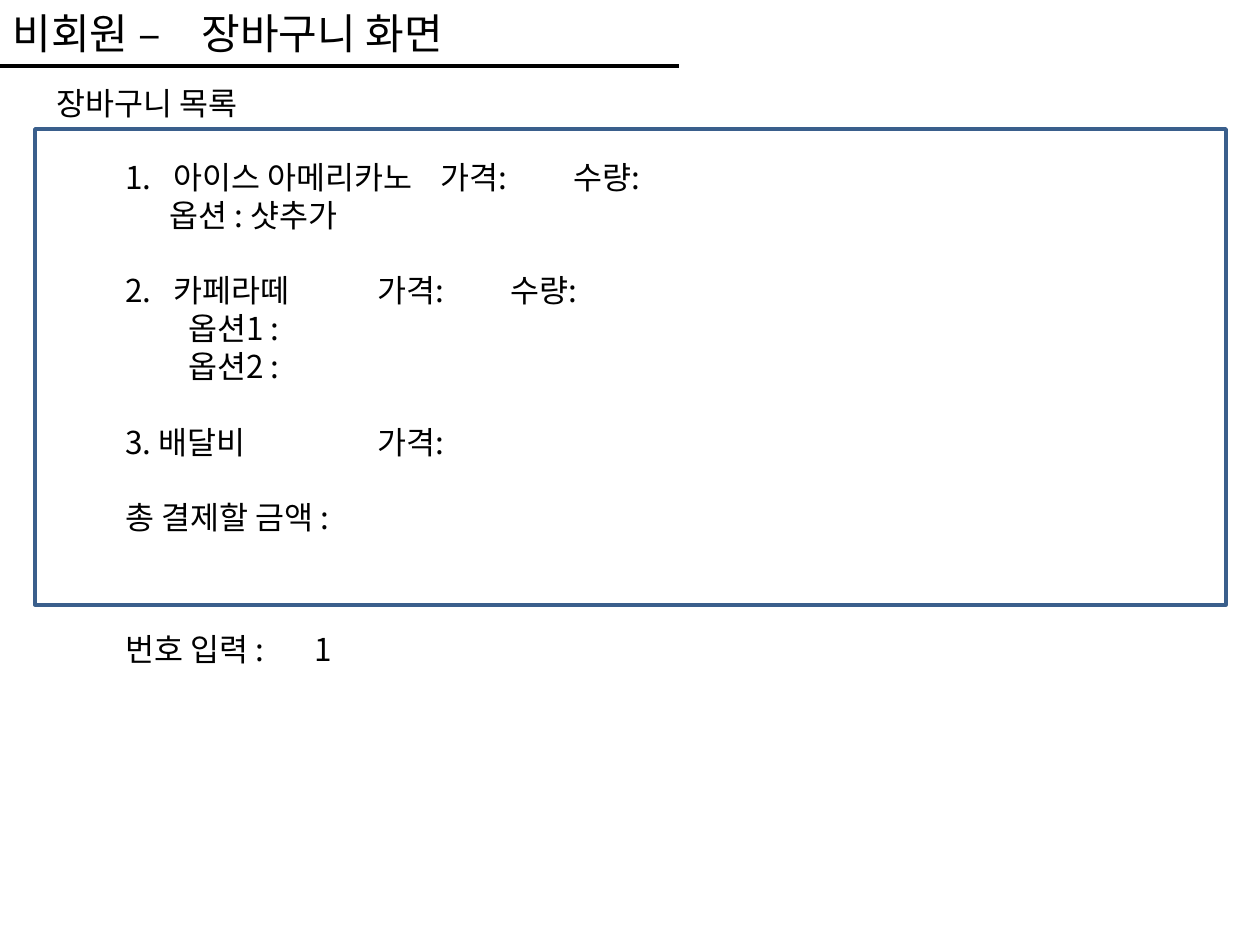
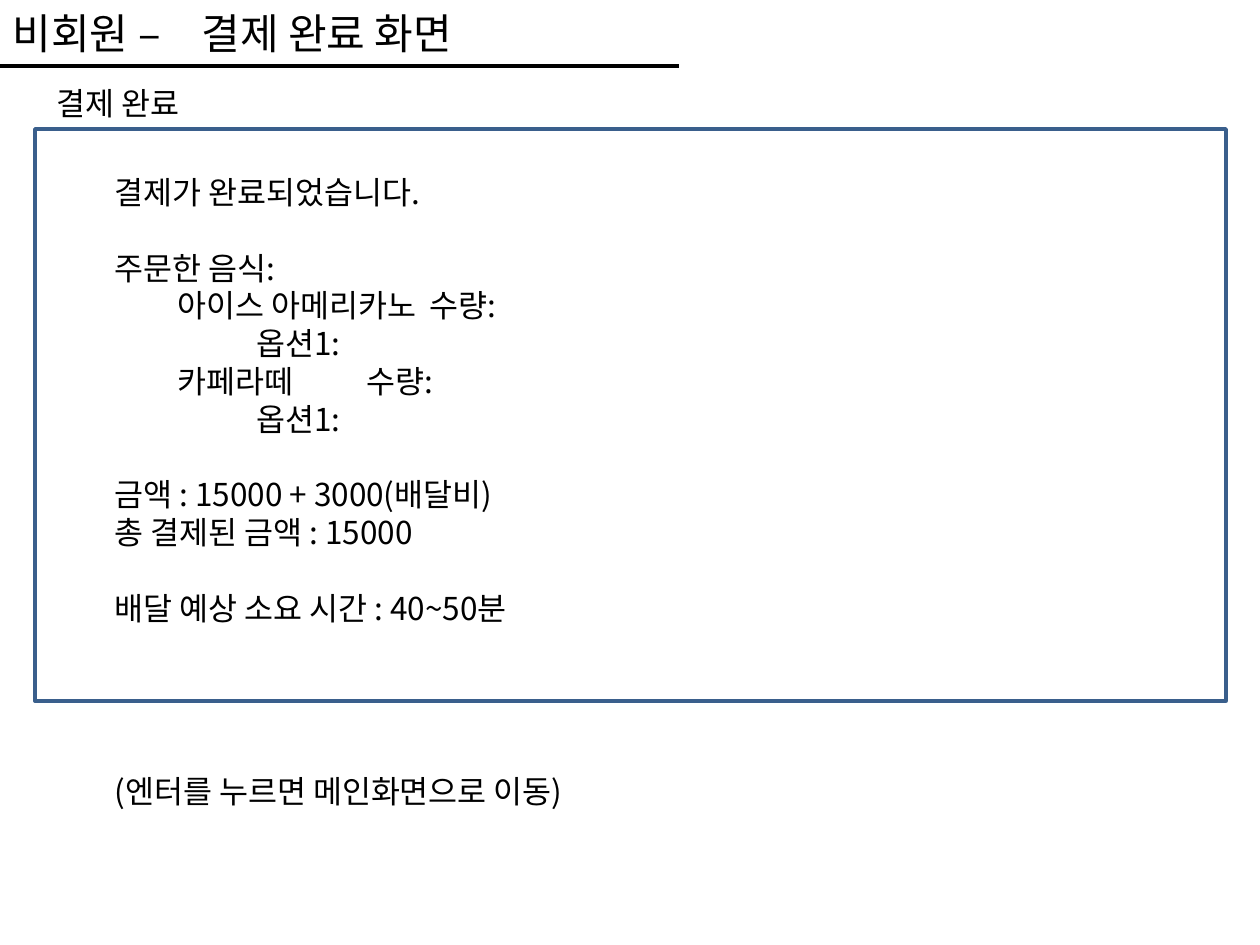
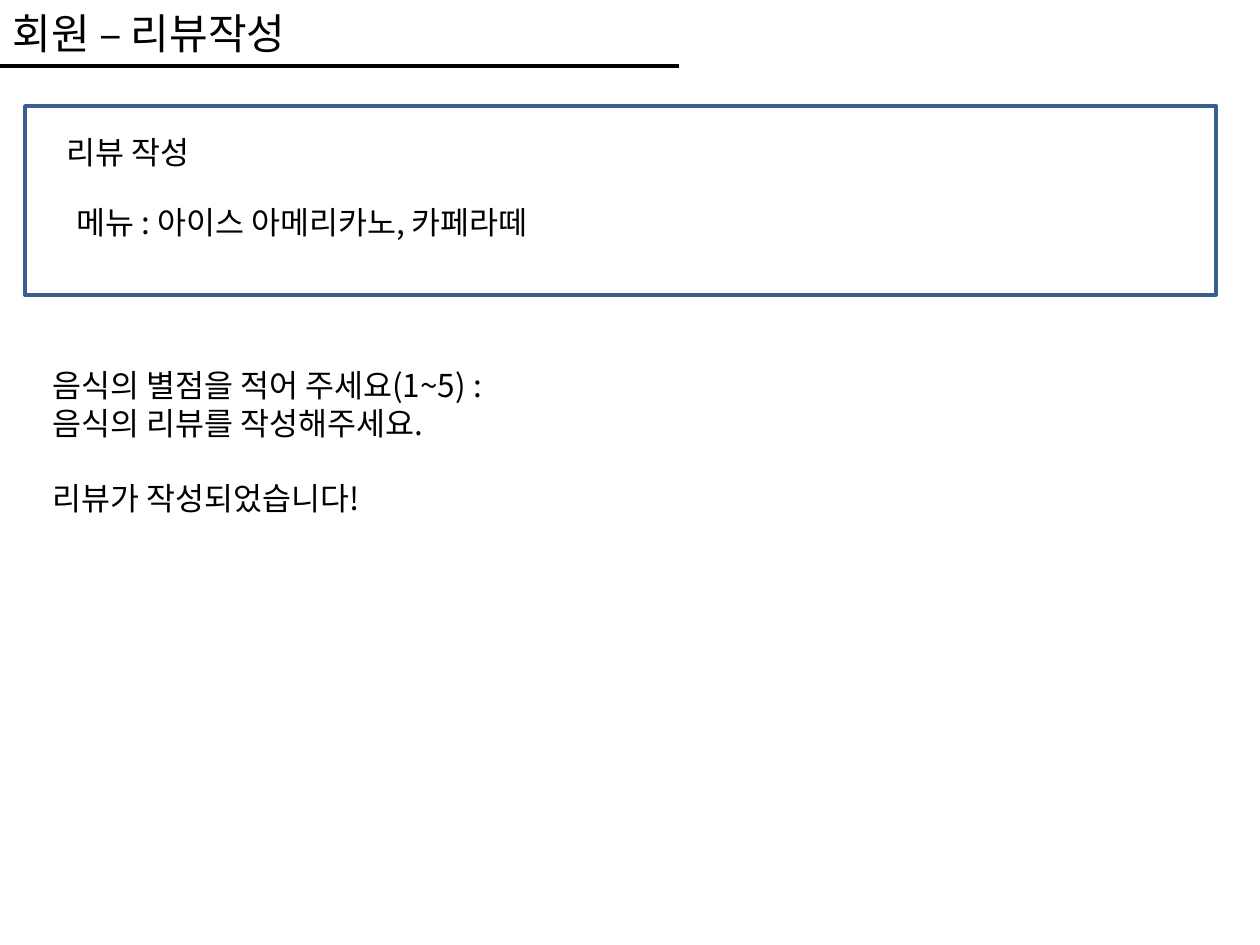
"""Build three wireframe slides of a cafe ordering program."""
import lxml.etree
import pptx
import pptx.dml.color
import pptx.enum.shapes
import pptx.oxml.ns
import pptx.util

SCALE = 914400 / 126
FONT = "Noto Sans CJK KR"
INK = "000000"
EDGE = "3A5F8C"
TITLE = 24
BODY = 18
LEAD = 1.2
GAP = {"space_before": pptx.util.Pt(BODY * LEAD)}
FRAME = {"word_wrap": True, "margin_top": round(8 * SCALE), "margin_bottom": 0}


def hue(code):
    return pptx.dml.color.RGBColor.from_string(code)


def write(slide, spot, size, rows):
    frame = slide.shapes.add_textbox(*[round(n * SCALE) for n in spot]).text_frame
    for key, value in FRAME.items():
        setattr(frame, key, value)
    for index, (text, look) in enumerate(rows):
        para = frame.add_paragraph() if index else frame.paragraphs[0]
        form = {"line_spacing": pptx.util.Pt(size * LEAD), **look}
        props = para._p.get_or_add_pPr()
        left = form.pop("left", 0)
        count = form.pop("count", 0)
        stops = form.pop("stops", ())
        for key, value in form.items():
            setattr(para, key, value)
        props.set("marL", str(round(left * SCALE)))
        props.set("indent", str(round(-left * SCALE) if count else 0))
        if count:
            mark = lxml.etree.SubElement(props, pptx.oxml.ns.qn("a:buAutoNum"))
            mark.set("type", "arabicPeriod")
            mark.set("startAt", str(count))
        if stops:
            tabs = lxml.etree.SubElement(props, pptx.oxml.ns.qn("a:tabLst"))
            for stop in stops:
                tab = lxml.etree.SubElement(tabs, pptx.oxml.ns.qn("a:tab"))
                tab.set("pos", str(round(stop * SCALE)))
                tab.set("algn", "l")
        run = para.add_run()
        run.text = text
        for key, value in {"name": FONT, "size": pptx.util.Pt(size)}.items():
            setattr(run.font, key, value)
        run.font.color.rgb = hue(INK)
        east = lxml.etree.SubElement(run._r.get_or_add_rPr(), pptx.oxml.ns.qn("a:ea"))
        east.set("typeface", FONT)


wide = {"stops": (137, 182)}
pages = [
    {
        "title": ("비회원\t–\t장바구니 화면", wide),
        "width": 927,
        "panel": (35, 129, 1191, 476),
        "texts": [
            ((44, 76, 357, 50), [("장바구니 목록", {})]),
            ((113, 622, 814, 50), [("번호 입력 :\t1", {"stops": (162,)})]),
            ((113, 150, 725, 394), [
                ("아이스 아메리카노 \t가격:\t 수량:", {"left": 48, "count": 1}),
                ("옵션 : 샷추가", {"left": 44}),
                ("카페라떼\t\t가격:\t 수량:", {"left": 48, "count": 2, **GAP}),
                ("옵션1 :", {"left": 63}),
                ("옵션2 :", {"left": 63}),
                ("3. 배달비 \t\t가격:", GAP),
                ("총 결제할 금액 :", GAP),
            ]),
        ],
    },
    {
        "title": ("비회원\t–\t결제 완료 화면", wide),
        "width": 927,
        "panel": (35, 129, 1191, 572),
        "texts": [
            ((44, 76, 357, 50), [("결제 완료", {})]),
            ((102, 764, 814, 50), [("(엔터를 누르면 메인화면으로 이동)", {})]),
            ((102, 165, 725, 471), [
                ("결제가 완료되었습니다.", {}),
                ("주문한 음식:", GAP),
                ("\t아이스 아메리카노 \t수량:", {}),
                ("옵션1:", {"left": 142}),
                ("\t카페라떼\t\t수량:", {}),
                ("옵션1:", {"left": 142}),
                ("금액 : 15000 + 3000(배달비)", GAP),
                ("총 결제된 금액 : 15000", {}),
                ("배달 예상 소요 시간 : 40~50분", GAP),
            ]),
        ],
    },
    {
        "title": ("회원 – 리뷰작성", {}),
        "width": 357,
        "panel": (25, 106, 1191, 189),
        "texts": [
            ((54, 125, 476, 50), [("리뷰 작성", {})]),
            ((64, 195, 1349, 50), [("메뉴 : 아이스 아메리카노, 카페라떼", {})]),
            ((40, 358, 549, 242), [
                ("음식의 별점을 적어 주세요(1~5) :", {}),
                ("음식의 리뷰를 작성해주세요.", {}),
                ("리뷰가 작성되었습니다!", GAP),
            ]),
        ],
    },
]

deck = pptx.Presentation()
deck.slide_width = round(1260 * SCALE)
deck.slide_height = round(945 * SCALE)

for page in pages:
    slide = deck.slides.add_slide(deck.slide_layouts[6])

    rule = slide.shapes.add_connector(
        pptx.enum.shapes.MSO_CONNECTOR.STRAIGHT,
        *[round(n * SCALE) for n in (0, 66, 679, 66)])
    rule.line.color.rgb = hue(INK)
    rule.line.width = pptx.util.Pt(1.75)
    lxml.etree.SubElement(rule._element.spPr, pptx.oxml.ns.qn("a:effectLst"))

    write(slide, (0, 0, page["width"], 63), TITLE, [page["title"]])

    panel = slide.shapes.add_shape(
        pptx.enum.shapes.MSO_SHAPE.RECTANGLE,
        *[round(n * SCALE) for n in page["panel"]])
    panel.shadow.inherit = False
    panel.fill.background()
    panel.line.color.rgb = hue(EDGE)
    panel.line.width = pptx.util.Pt(2)

    for spot, rows in page["texts"]:
        write(slide, spot, BODY, rows)

deck.save("out.pptx")
